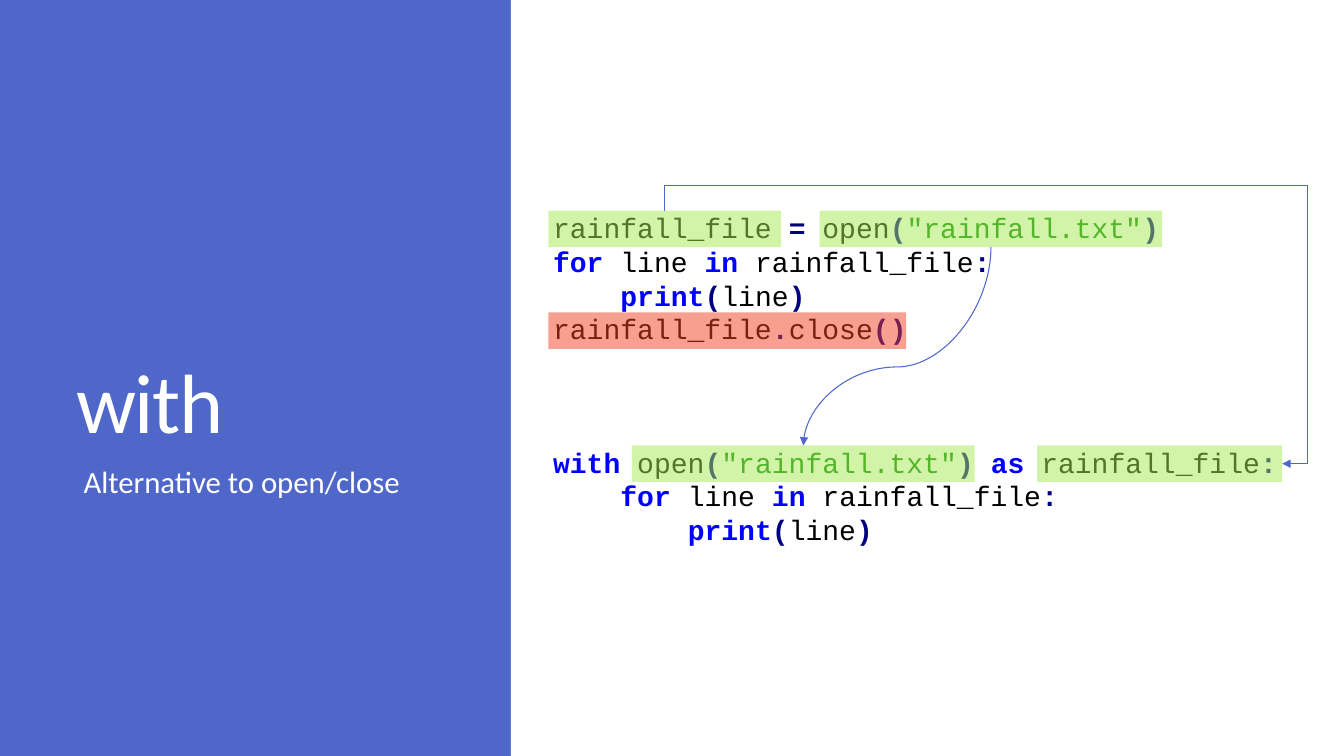
from dataclasses import dataclass

from pptx import Presentation
from pptx.dml.color import RGBColor
from pptx.enum.dml import MSO_THEME_COLOR
from pptx.enum.shapes import MSO_CONNECTOR as Conn, MSO_SHAPE as Shape
from pptx.enum.text import MSO_ANCHOR as Anchor, MSO_AUTO_SIZE as AutoSize, PP_ALIGN as Align
from pptx.oxml.ns import qn
from pptx.oxml.xmlchemy import OxmlElement
from pptx.util import Pt


@dataclass(frozen=True)
class Theme:
    blue: str = "4E67C8"
    white: str = "FFFFFF"
    keep: str = "A7EA52"
    drop: str = "F14124"
    text_font: str = "Calibri"
    code_font: str = "Courier New"
    title_size: float = 60
    body_size: float = 22
    code_size: float = 20
    line_width: float = 0.75


@dataclass(frozen=True)
class Box:
    left: float
    top: float
    width: float
    height: float

    def emu(self) -> list:
        return [Pt(v) for v in (self.left, self.top, self.width, self.height)]


@dataclass(frozen=True)
class Highlight:
    name: str
    box: Box
    color: str


@dataclass(frozen=True)
class Arrow:
    kind: Conn
    preset: str
    start: tuple[str, int]
    end: tuple[str, int]
    rotation: int
    flipped: bool
    adjust: tuple[int, ...]


@dataclass(frozen=True)
class Token:
    color: str
    bold: bool
    text: str


THEME = Theme()


# Code tokens by role
def name(text: str) -> Token:
    return Token("000000", False, text)


def mark(text: str) -> Token:
    return Token("000080", True, text)


def word(text: str) -> Token:
    return Token("0000FF", True, text)


def string(text: str) -> Token:
    return Token("008000", False, text)


def print_loop(indent: str) -> list[list[Token]]:
    head = [name(indent)] if indent else []
    return [
        head + [word("for"), name(" line "), word("in "), name("rainfall_file"), mark(":")],
        [name(indent + "    "), word("print"), mark("("), name("line"), mark(")")],
    ]


OPEN_CALL = [name(" open"), mark("("), string('"rainfall.txt"'), mark(")")]
CODE = [
    (Box(388, 147, 537, 104), [
        [name("rainfall_file "), mark("="), *OPEN_CALL],
        *print_loop(""),
        [name("rainfall_file"), mark("."), name("close"), mark("()")],
    ]),
    (Box(388, 314.5, 537, 80), [
        [word("with"), *OPEN_CALL, word(" as "), name("rainfall_file"), mark(":")],
        *print_loop("    "),
    ]),
]

HIGHLIGHTS = [
    Highlight("old open", Box(585.4, 150.5, 244.8, 26), THEME.keep),
    Highlight("new open", Box(451.4, 318.2, 244.8, 26), THEME.keep),
    Highlight("old name", Box(391.7, 150.5, 166.3, 26), THEME.keep),
    Highlight("new name", Box(740.9, 318.2, 175, 26), THEME.keep),
    Highlight("close", Box(391.7, 223.2, 255.6, 26), THEME.drop),
]

ARROWS = [
    Arrow(Conn.ELBOW, "bentConnector4", ("old name", 0), ("new name", 3), 270, True,
          (-9900, 104100)),
    Arrow(Conn.CURVE, "curvedConnector3", ("old open", 2), ("new open", 0), 90, False,
          (60400,)),
]


def set_font(font, color: str, **values) -> None:
    for key, value in values.items():
        setattr(font, key, value)
    font.color.rgb = RGBColor.from_string(color)


def add_rect(slide, box: Box, color: str, alpha: int = 100):
    s = slide.shapes.add_shape(Shape.RECTANGLE, *box.emu())
    s.shadow.inherit = False
    s.fill.solid()
    s.fill.fore_color.rgb = RGBColor.from_string(color)
    s.line.fill.background()
    if alpha < 100:
        opacity = OxmlElement("a:alpha")
        opacity.set("val", str(alpha * 1000))
        s._element.spPr.find(".//" + qn("a:srgbClr")).append(opacity)
    return s


def fill_placeholder(sp, box: Box, text: str, size: float, spacing: float, anchor: Anchor):
    sp.left, sp.top, sp.width, sp.height = box.emu()
    tf = sp.text_frame
    for key, value in {"auto_size": AutoSize.NONE, "word_wrap": True,
                       "vertical_anchor": anchor}.items():
        setattr(tf, key, value)
    p = tf.paragraphs[0]
    for key, value in {"alignment": Align.LEFT, "line_spacing": spacing,
                       "space_before": Pt(0)}.items():
        setattr(p, key, value)
    r = p.add_run()
    r.text = text
    set_font(r.font, THEME.white, name=THEME.text_font, size=Pt(size))
    return p


def add_code(slide, box: Box, lines: list[list[Token]]) -> None:
    tf = slide.shapes.add_textbox(*box.emu()).text_frame
    tf.word_wrap = True
    tf.auto_size = AutoSize.SHAPE_TO_FIT_TEXT
    for i, line in enumerate(lines):
        p = tf.add_paragraph() if i else tf.paragraphs[0]
        for token in line:
            r = p.add_run()
            r.text = token.text
            set_font(r.font, token.color, name=THEME.code_font,
                     size=Pt(THEME.code_size), bold=token.bold)


def add_arrow(slide, arrow: Arrow, marks: dict) -> None:
    c = slide.shapes.add_connector(arrow.kind, 0, 0, 0, 0)
    c.begin_connect(marks[arrow.start[0]], arrow.start[1])
    c.end_connect(marks[arrow.end[0]], arrow.end[1])
    # A quarter turn swaps width and height around the same centre
    mid_x, mid_y = (c.begin_x + c.end_x) // 2, (c.begin_y + c.end_y) // 2
    width, height = abs(c.end_y - c.begin_y), abs(c.end_x - c.begin_x)
    c.left, c.top = mid_x - width // 2, mid_y - height // 2
    c.width, c.height = width, height
    spPr = c._element.spPr
    xfrm = spPr.find(qn("a:xfrm"))
    for key, value in {"rot": arrow.rotation * 60000, "flipH": int(arrow.flipped),
                       "flipV": 0}.items():
        xfrm.set(key, str(value))
    geom = spPr.find(qn("a:prstGeom"))
    geom.set("prst", arrow.preset)
    for i, value in enumerate(arrow.adjust, 1):
        guide = OxmlElement("a:gd")
        guide.set("name", f"adj{i}")
        guide.set("fmla", f"val {value}")
        geom.find(qn("a:avLst")).append(guide)
    c.line.color.rgb = RGBColor.from_string(THEME.blue)
    c.line.width = Pt(THEME.line_width)
    tail = OxmlElement("a:tailEnd")
    tail.set("type", "triangle")
    spPr.find(qn("a:ln")).append(tail)
    spPr.append(OxmlElement("a:effectLst"))


def main() -> None:
    prs = Presentation()
    prs.slide_width, prs.slide_height = Pt(960), Pt(540)
    slide = prs.slides.add_slide(prs.slide_layouts[1])
    slide.background.fill.solid()
    slide.background.fill.fore_color.rgb = RGBColor.from_string(THEME.blue)

    # White panel behind everything else
    panel = add_rect(slide, Box(365, 0, 595, 540), THEME.white)
    slide.shapes._spTree.insert(2, panel._element)

    # Title and subtitle
    title, body = slide.placeholders
    p = fill_placeholder(title, Box(47.5, 60.5, 273, 264), "with",
                         THEME.title_size, 0.8, Anchor.BOTTOM)
    p.runs[0].font._element.set("spc", "-120")
    p = fill_placeholder(body, Box(52.5, 331, 268, 130), "Alternative to open/close",
                         THEME.body_size, 0.85, Anchor.TOP)
    pPr = p._p.get_or_add_pPr()
    pPr.set("marL", "0")
    pPr.set("indent", "0")
    pPr.append(OxmlElement("a:buNone"))

    # Code, highlights and arrows
    for box, lines in CODE:
        add_code(slide, box, lines)
    marks = {h.name: add_rect(slide, h.box, h.color, 50) for h in HIGHLIGHTS}
    for arrow in ARROWS:
        add_arrow(slide, arrow, marks)
    prs.save("out.pptx")


if __name__ == "__main__":
    main()
